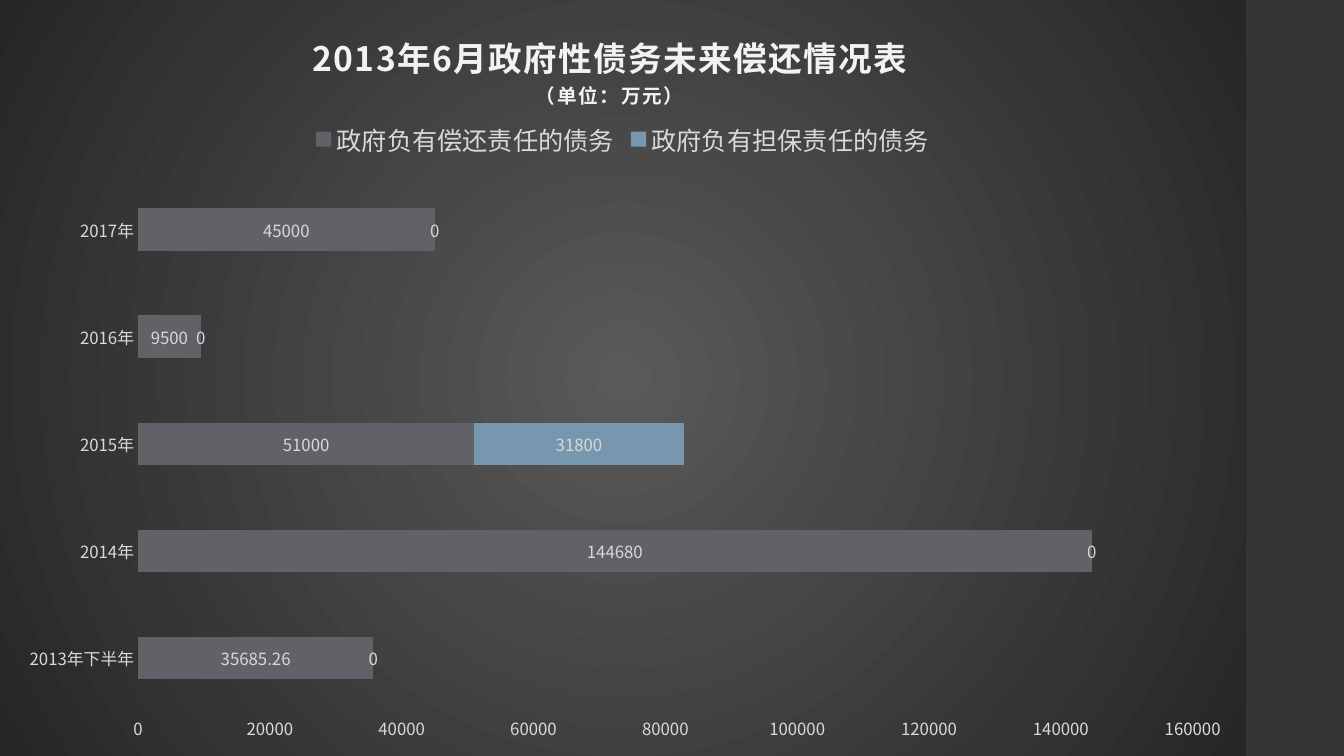
from lxml import etree
from pptx import Presentation
from pptx.chart.data import CategoryChartData
from pptx.dml.color import RGBColor
from pptx.enum.chart import XL_CHART_TYPE, XL_LABEL_POSITION, XL_LEGEND_POSITION, XL_TICK_MARK
from pptx.enum.shapes import MSO_SHAPE
from pptx.oxml import parse_xml
from pptx.oxml.ns import nsdecls, qn
from pptx.util import Inches, Pt

BAR_STACKED = XL_CHART_TYPE.BAR_STACKED
CENTER = XL_LABEL_POSITION.CENTER
TOP = XL_LEGEND_POSITION.TOP
NO_TICK = XL_TICK_MARK.NONE
RECT = MSO_SHAPE.RECTANGLE

COLORS = {
    "strip": "353537", "title": "F2F2F2", "text": "D9D9D9", "base": "000000",
    "repay": "616168", "guarantee": "7797AE",
    "glow": "595959", "edge": "262626",
}
FONT = "Noto Sans CJK SC"
CHART_W, CHART_H = 12.36, 7.5

YEARS = ["2013年下半年", "2014年", "2015年", "2016年", "2017年"]
DEBTS = [
    ("政府负有偿还责任的债务", [35685.26, 144680, 51000, 9500, 45000], "repay"),
    ("政府负有担保责任的债务", [0, 0, 31800, 0, 0], "guarantee"),
]


def rgb(name):
    return RGBColor.from_string(COLORS[name])


def set_font(font, size=12, color="text", name=FONT, bold=False):
    font.size, font.bold, font.name = Pt(size), bold, name
    font.color.rgb = rgb(color)


def add_text(p, text, spacing=100, **style):
    r = p.add_run()
    r.text = text
    set_font(r.font, **style)
    rpr = r.font._element if hasattr(r.font, "_element") else r._r.get_or_add_rPr()
    rpr.set("spc", str(spacing))
    etree.SubElement(rpr, qn("a:ea")).set("typeface", FONT)


def place(element, after, x, y, w=None, h=None):
    """Lay out a chart part, in inches from the chart's top left corner."""
    for old in element.findall(qn("c:layout")):
        element.remove(old)
    layout = parse_xml(f"<c:layout {nsdecls('c')}><c:manualLayout/></c:layout>")
    manual = layout[0]
    values = [("xMode", "edge"), ("yMode", "edge"),
              ("x", x / CHART_W), ("y", y / CHART_H)]
    if w:
        values += [("w", w / CHART_W), ("h", h / CHART_H)]
    if after is None:
        values.insert(0, ("layoutTarget", "inner"))
        element.insert(0, layout)
    else:
        element.find(qn(after)).addnext(layout)
    for tag, value in values:
        etree.SubElement(manual, qn(f"c:{tag}")).set("val", str(value))


class DebtSlide:
    def __init__(self, prs):
        self.s = prs.slides.add_slide(prs.slide_layouts[6])

    def rect(self, x, y, w, h, color):
        sp = self.s.shapes.add_shape(RECT, Inches(x), Inches(y), Inches(w), Inches(h))
        sp.shadow.inherit = False
        sp.fill.solid()
        sp.fill.fore_color.rgb = rgb(color)
        sp.line.fill.background()

    def chart(self):
        data = CategoryChartData()
        data.categories = YEARS
        for name, values, _ in DEBTS:
            data.add_series(name, values)
        chart = self.s.shapes.add_chart(
            BAR_STACKED, 0, 0, Inches(CHART_W), Inches(CHART_H), data).chart
        set_font(chart.font, 10, "base", "Cambria")
        self.bars(chart.plots[0])
        self.axes(chart)
        self.title(chart)
        self.legend(chart)
        self.backdrop(chart)
        place(chart._chartSpace.chart.plotArea, None, 1.37, 1.75, 10.46, 5.31)

    def bars(self, plot):
        plot.gap_width, plot.overlap = 150, 100
        plot.vary_by_categories = False
        for series, (_, _, color) in zip(plot.series, DEBTS):
            series.format.fill.solid()
            series.format.fill.fore_color.rgb = rgb(color)
            labels = series.data_labels
            labels.show_value = True
            labels.position = CENTER
            set_font(labels.font)

    def axes(self, chart):
        for axis in (chart.category_axis, chart.value_axis):
            axis.major_tick_mark = axis.minor_tick_mark = NO_TICK
            axis.has_major_gridlines = False
            axis.format.line.fill.background()
            set_font(axis.tick_labels.font)
        axis = chart.value_axis
        axis.minimum_scale, axis.maximum_scale, axis.major_unit = 0, 160000, 20000

    def title(self, chart):
        chart.has_title = True
        tf = chart.chart_title.text_frame
        add_text(tf.paragraphs[0], "2013年6月政府性债务未来偿还情况表",
                 size=24, color="title", bold=True)
        add_text(tf.add_paragraph(), "（单位：万元）", size=14, color="title", bold=True)
        chart.chart_title.include_in_layout = False
        place(chart._chartSpace.chart.find(qn("c:title")), "c:tx", 3.07, 0.27)

    def legend(self, chart):
        chart.has_legend = True
        chart.legend.position = TOP
        chart.legend.include_in_layout = False
        set_font(chart.legend.font, 18)
        place(chart.legend._element, "c:legendPos", 3.05, 1.18, 6.25, 0.4)

    def backdrop(self, chart):
        stops = "".join(
            f'<a:gs pos="{pos}"><a:srgbClr val="{COLORS[color]}"/></a:gs>'
            for pos, color in ((0, "glow"), (100000, "edge")))
        chart._chartSpace.chart.addnext(parse_xml(
            f'<c:spPr {nsdecls("c", "a")}><a:gradFill><a:gsLst>{stops}</a:gsLst>'
            '<a:path path="circle"><a:fillToRect l="50000" t="50000" r="50000" b="50000"/>'
            '</a:path></a:gradFill><a:ln><a:noFill/></a:ln></c:spPr>'))


def main():
    prs = Presentation()
    prs.slide_width, prs.slide_height = Inches(13.33), Inches(7.5)
    slide = DebtSlide(prs)
    # Strip on the right edge
    slide.rect(12.35, 0, 0.98, 7.5, "strip")
    # Debt repayment chart
    slide.chart()
    prs.save("out.pptx")


if __name__ == "__main__":
    main()
